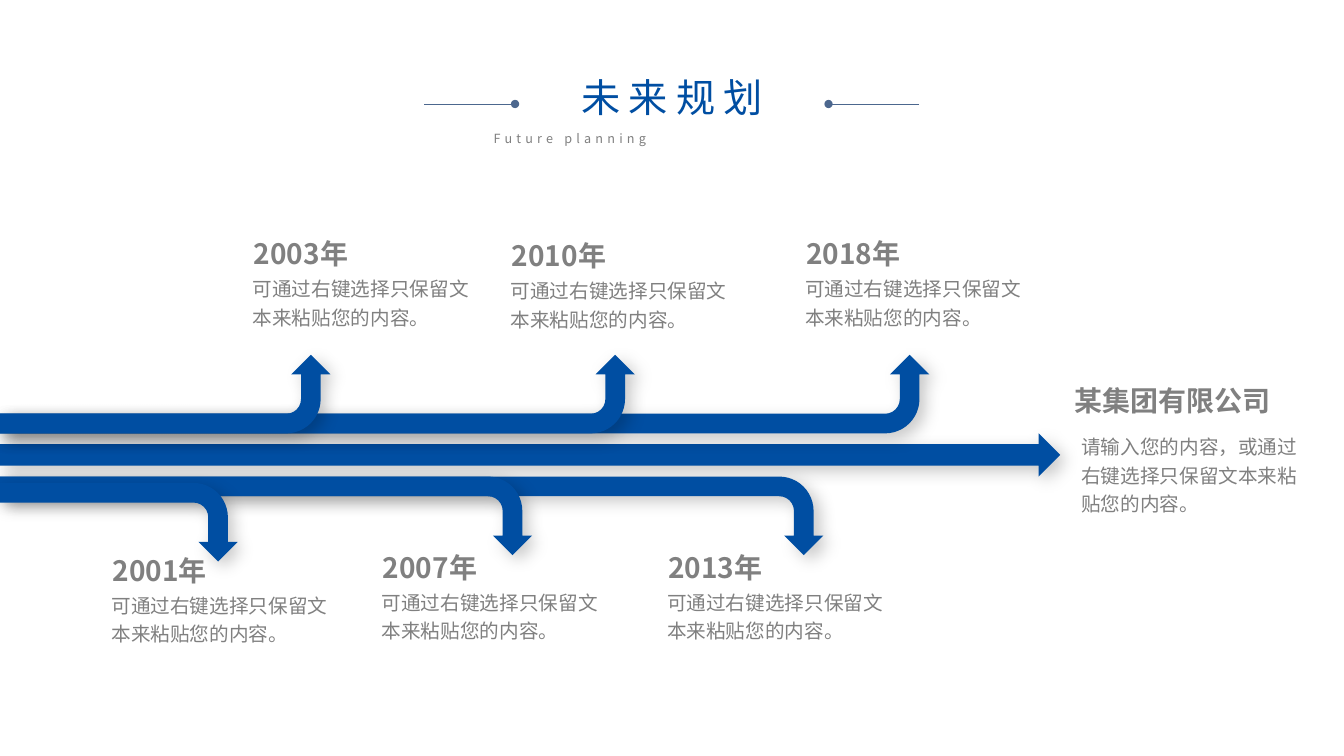
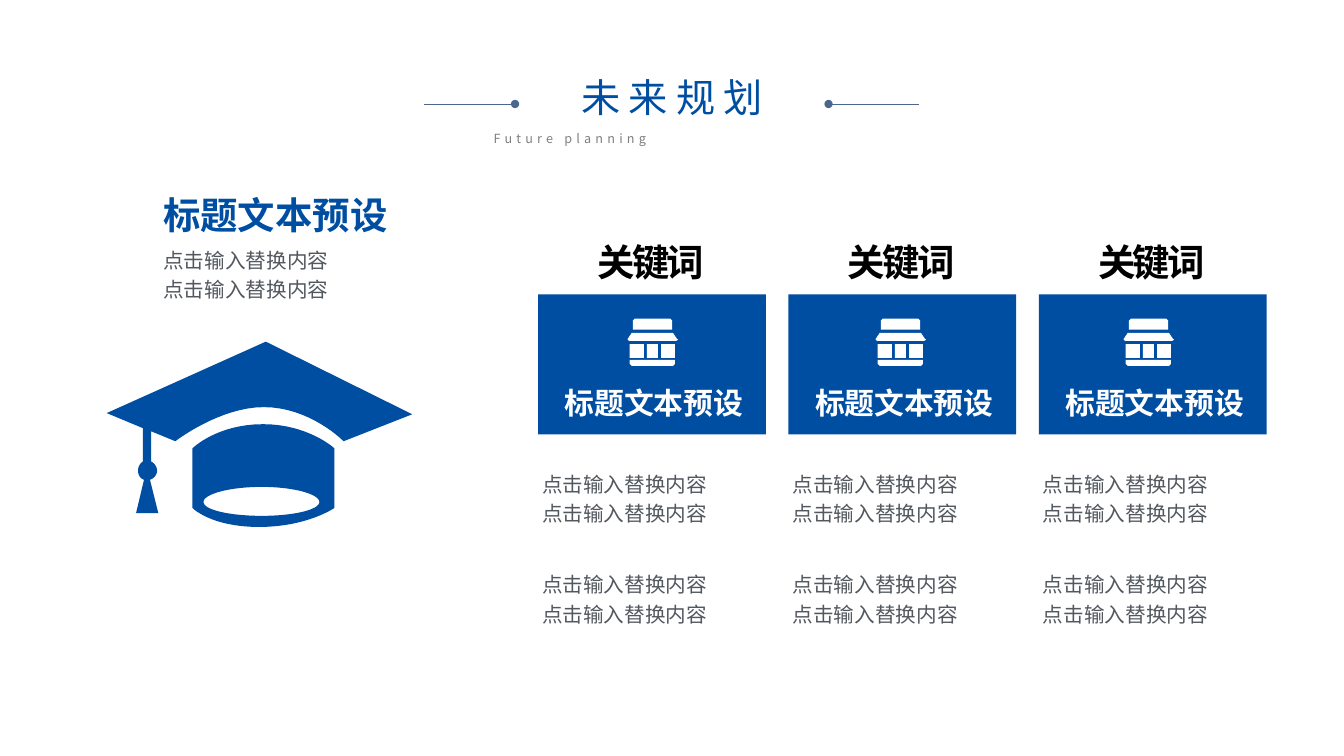
"""Build two slides on future planning: a timeline and a set of keyword cards."""
from dataclasses import dataclass, replace

import lxml.etree
import pptx
import pptx.dml.color
import pptx.enum.shapes
import pptx.enum.text
import pptx.oxml.ns
import pptx.presentation
import pptx.shapes.autoshape
import pptx.shapes.base
import pptx.slide
import pptx.util

Cm = pptx.util.Cm
RGBColor = pptx.dml.color.RGBColor
Align = pptx.enum.text.PP_ALIGN
Anchor = pptx.enum.text.MSO_ANCHOR
Preset = pptx.enum.shapes.MSO_SHAPE
qn = pptx.oxml.ns.qn

BLUE = RGBColor(0x00, 0x4E, 0xA2)
RULE_BLUE = RGBColor(0x4C, 0x67, 0x8E)
GRAY = RGBColor(0x80, 0x80, 0x80)
SLATE = RGBColor(0x53, 0x58, 0x5F)
BLACK = RGBColor(0, 0, 0)
WHITE = RGBColor(0xFF, 0xFF, 0xFF)
FONT = "Noto Sans CJK SC"


@dataclass(frozen=True)
class TextStyle:
    size: float
    color: RGBColor
    bold: bool = False
    align: Align = Align.LEFT
    line_spacing: float | None = None
    letter_spacing: float = 0
    anchor: Anchor = Anchor.TOP
    grow: bool = True
    insets: tuple[float, float] = (0.25, 0.13)


@dataclass(frozen=True)
class Milestone:
    year: str
    left: float
    top: float
    branch_top: float
    reach: float
    upward: bool


TITLE = TextStyle(28, BLUE, align=Align.CENTER, letter_spacing=6)
SUBTITLE = TextStyle(9, GRAY, align=Align.JUSTIFY, letter_spacing=3)
YEAR = TextStyle(20, GRAY, bold=True)
COMPANY = replace(YEAR, align=Align.CENTER)
STORY = TextStyle(14, GRAY, line_spacing=1.2)
CARD_BODY = TextStyle(14.7, SLATE, line_spacing=1.2, anchor=Anchor.MIDDLE)
INTRO_BODY = replace(CARD_BODY, anchor=Anchor.TOP, grow=False, insets=(0, 0))
INTRO_TITLE = TextStyle(26.7, BLUE, bold=True, grow=False, insets=(0, 0))
KEYWORD = TextStyle(26.7, BLACK, bold=True, align=Align.CENTER, letter_spacing=-2,
                    anchor=Anchor.MIDDLE, grow=False, insets=(0.33, 0.18))
CARD_TITLE = TextStyle(21.3, WHITE, bold=True, align=Align.CENTER,
                       anchor=Anchor.MIDDLE, grow=False)

STORY_TEXT = "可通过右键选择只保留文本来粘贴您的内容。"
BODY_TEXT = "点击输入替换内容\n点击输入替换内容"
HEADING_TEXT = "标题文本预设"

BRANCH_HEIGHT = 1.98
MILESTONES = (
    Milestone("2018年", 20.07, 5.84, 8.94, 23.42, True),
    Milestone("2013年", 16.59, 13.74, 12.01, 20.75, False),
    Milestone("2010年", 12.65, 5.89, 8.94, 16, True),
    Milestone("2003年", 6.15, 5.84, 8.94, 8.33, True),
    Milestone("2007年", 9.4, 13.74, 12.01, 13.41, False),
    Milestone("2001年", 2.59, 13.82, 12.17, 5.99, False),
)

Contour = list[tuple[float, ...]]
SHOP: list[Contour] = [
    [(0.05, 1.04), (1.19, 1.04), (1.19, 1.14), (1.14, 1.19), (0.1, 1.19), (0.05, 1.14)],
    *[[(left, 0.64), (right, 0.64), (right, 0.99), (left, 0.99)]
      for left, right in ((0.05, 0.41), (0.48, 0.76), (0.84, 1.19))],
    [(0.1, 0.36), (1.14, 0.36), (1.24, 0.51), (1.27, 0.53), (1.22, 0.56),
     (0.03, 0.56), (0, 0.53), (0, 0.51)],
    [(0.18, 0), (1.07, 0), (1.12, 0.05), (1.12, 0.28), (0.13, 0.28), (0.13, 0.05)],
]
GRADUATION_CAP: list[Contour] = [
    [(5.97, 2.51), (5.97, 2.51, 5.13, 1.65, 3.96, 1.65),
     (2.84, 1.65, 1.73, 2.51, 1.73, 2.51), (1.12, 2.26), (1.12, 3.02),
     (1.19, 3.05, 1.27, 3.15, 1.27, 3.25), (1.27, 3.35, 1.19, 3.45, 1.09, 3.48),
     (1.3, 4.32), (0.74, 4.32), (0.94, 3.48),
     (0.84, 3.45, 0.79, 3.35, 0.79, 3.25), (0.79, 3.15, 0.84, 3.07, 0.91, 3.02),
     (0.91, 2.18), (0, 1.8), (4.01, 0), (7.7, 1.83)],
    [(3.94, 2.08), (5.08, 2.08, 5.74, 2.69, 5.74, 2.69), (5.74, 4.19),
     (5.74, 4.19, 5.05, 4.67, 3.84, 4.67), (2.62, 4.67, 2.16, 4.19, 2.16, 4.19),
     (2.16, 2.69), (2.16, 2.69, 2.77, 2.08, 3.94, 2.08)],
    [(3.91, 4.39), (4.7, 4.39, 5.36, 4.24, 5.36, 4.04),
     (5.36, 3.84, 4.7, 3.66, 3.91, 3.66), (3.1, 3.66, 2.44, 3.84, 2.44, 4.04),
     (2.44, 4.24, 3.1, 4.39, 3.91, 4.39)],
]


def add_text(slide: pptx.slide.Slide, text: str, left: float, top: float,
             width: float, height: float, style: TextStyle) -> None:
    """Place text in a box, with positions in centimetres."""
    frame = slide.shapes.add_textbox(Cm(left), Cm(top), Cm(width), Cm(height)).text_frame
    frame.text = text
    frame.word_wrap = True
    frame.vertical_anchor = style.anchor
    fit = pptx.enum.text.MSO_AUTO_SIZE
    frame.auto_size = fit.SHAPE_TO_FIT_TEXT if style.grow else fit.NONE
    side, edge = style.insets
    frame.margin_left = frame.margin_right = Cm(side)
    frame.margin_top = frame.margin_bottom = Cm(edge)
    for paragraph in frame.paragraphs:
        paragraph.alignment = style.align
        paragraph.line_spacing = style.line_spacing
        for run in paragraph.runs:
            run.font.size = pptx.util.Pt(style.size)
            run.font.bold = style.bold
            run.font.color.rgb = style.color
            run.font.name = FONT
            properties = run.font._element
            lxml.etree.SubElement(properties, qn("a:ea"), typeface=FONT)
            if style.letter_spacing:
                properties.set("spc", str(round(style.letter_spacing * 100)))


def paint(shape: pptx.shapes.autoshape.Shape, color: RGBColor) -> None:
    """Give a shape a plain fill without outline or shadow."""
    shape.shadow.inherit = False
    shape.fill.solid()
    shape.fill.fore_color.rgb = color
    shape.line.fill.background()


def add_preset(slide: pptx.slide.Slide, preset: Preset, left: float, top: float,
               width: float, height: float) -> pptx.shapes.autoshape.Shape:
    """Draw a blue preset shape."""
    shape = slide.shapes.add_shape(preset, Cm(left), Cm(top), Cm(width), Cm(height))
    paint(shape, BLUE)
    return shape


def cast_shadow(shape: pptx.shapes.base.BaseShape) -> None:
    """Add a soft shadow to the lower right."""
    effects = shape._element.spPr.find(qn("a:effectLst"))
    shadow = lxml.etree.SubElement(
        effects, qn("a:outerShdw"), blurRad=str(pptx.util.Pt(12)),
        dist=str(pptx.util.Pt(5)), dir="2700000", algn="tl", rotWithShape="0")
    color = lxml.etree.SubElement(shadow, qn("a:srgbClr"), val=str(BLACK))
    lxml.etree.SubElement(color, qn("a:alpha"), val="21000")


def trace(contour: Contour, left: float, top: float, steps: int = 16) -> list[tuple[int, int]]:
    """Turn points and cubic curves into a list of slide positions."""
    points: list[tuple[float, ...]] = []
    for part in contour:
        if len(part) == 2:
            points.append(part)
            continue
        corners = (points[-1], part[:2], part[2:4], part[4:])
        for step in range(1, steps + 1):
            t = step / steps
            weights = ((1 - t) ** 3, 3 * t * (1 - t) ** 2, 3 * t * t * (1 - t), t ** 3)
            points.append(tuple(sum(w * corner[axis] for w, corner in zip(weights, corners))
                                for axis in (0, 1)))
    return [(Cm(left + x), Cm(top + y)) for x, y in points]


def add_icon(slide: pptx.slide.Slide, contours: list[Contour], left: float, top: float,
             color: RGBColor) -> None:
    """Draw an icon as one freeform of several contours."""
    outlines = [trace(contour, left, top) for contour in contours]
    builder = slide.shapes.build_freeform(*outlines[0][0])
    for index, outline in enumerate(outlines):
        if index:
            builder.move_to(*outline[0])
        builder.add_line_segments(outline[1:], close=True)
    paint(builder.convert_to_shape(), color)


def add_planning_slide(deck: pptx.presentation.Presentation) -> pptx.slide.Slide:
    """Add a blank slide with the shared title and its two rules."""
    slide = deck.slides.add_slide(deck.slide_layouts[6])
    add_text(slide, "Future planning", 12.19, 3.18, 9.5, 0.64, SUBTITLE)
    add_text(slide, "未来规划", 13.11, 1.73, 7.65, 1.45, TITLE)
    for outer, inner in ((10.69, 12.98), (23.16, 20.88)):
        rule = slide.shapes.add_connector(pptx.enum.shapes.MSO_CONNECTOR.STRAIGHT,
                                          Cm(outer), Cm(2.62), Cm(inner), Cm(2.62))
        rule.line.color.rgb = RULE_BLUE
        rule.line.width = pptx.util.Pt(0.5)
        lxml.etree.SubElement(rule.line._get_or_add_ln(), qn("a:tailEnd"), type="oval")
        lxml.etree.SubElement(rule._element.spPr, qn("a:effectLst"))
    return slide


def add_milestone(slide: pptx.slide.Slide, milestone: Milestone) -> None:
    """Draw a branch from the left edge with its year and story."""
    branch = add_preset(slide, Preset.BENT_ARROW,
                        (milestone.reach - BRANCH_HEIGHT) / 2,
                        milestone.branch_top + (BRANCH_HEIGHT - milestone.reach) / 2,
                        BRANCH_HEIGHT, milestone.reach)
    branch.rotation = 90
    if milestone.upward:
        branch._element.spPr.xfrm.set("flipH", "1")
    cast_shadow(branch)
    add_text(slide, milestone.year, milestone.left, milestone.top, 3.61, 1.12, YEAR)
    add_text(slide, STORY_TEXT, milestone.left - 0.03, milestone.top + 0.9, 6.17, 2.41, STORY)


def build_timeline(deck: pptx.presentation.Presentation) -> None:
    """Build the timeline slide."""
    slide = add_planning_slide(deck)
    cast_shadow(add_preset(slide, Preset.RIGHT_ARROW, 0, 10.92, 26.72, 1.09))
    for milestone in MILESTONES:
        add_milestone(slide, milestone)
    add_text(slide, "某集团有限公司", 25.93, 9.53, 7.24, 1.12, COMPANY)
    add_text(slide, "请输入您的内容，或通过右键选择只保留文本来粘贴您的内容。",
             27, 10.72, 6.17, 3.12, STORY)


def build_keywords(deck: pptx.presentation.Presentation) -> None:
    """Build the slide with the graduation cap and three keyword cards."""
    slide = add_planning_slide(deck)
    add_text(slide, BODY_TEXT, 4.11, 6.12, 7.26, 2.21, INTRO_BODY)
    add_text(slide, HEADING_TEXT, 4.11, 4.85, 7.26, 0.86, INTRO_TITLE)
    for column in range(3):
        left = 13.56 + 6.31 * column
        add_preset(slide, Preset.RECTANGLE, left, 7.42, 5.74, 3.53)
        add_text(slide, "关键词", left, 6.02, 5.69, 1.14, KEYWORD)
        add_text(slide, HEADING_TEXT, left + 0.15, 9.63, 5.54, 1.02, CARD_TITLE)
        for top in (11.63, 14.17):
            add_text(slide, BODY_TEXT, left - 0.15, top, 5.99, 1.75, CARD_BODY)
        add_icon(slide, SHOP, 15.82 + 6.25 * column, 8.03, WHITE)
    add_icon(slide, GRADUATION_CAP, 2.69, 8.61, BLUE)


def main() -> None:
    """Build and save the presentation."""
    deck = pptx.Presentation()
    deck.slide_width, deck.slide_height = Cm(33.87), Cm(19.05)
    build_timeline(deck)
    build_keywords(deck)
    deck.save("out.pptx")


if __name__ == "__main__":
    main()
